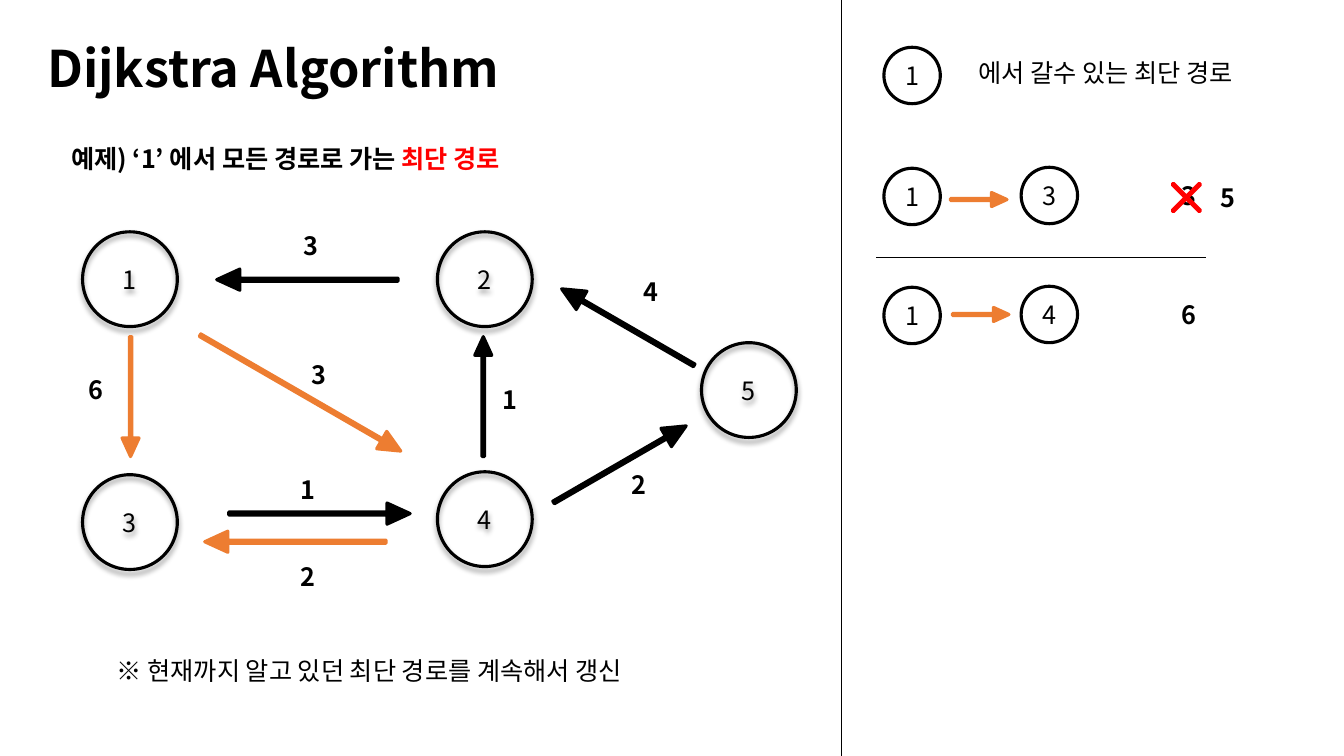
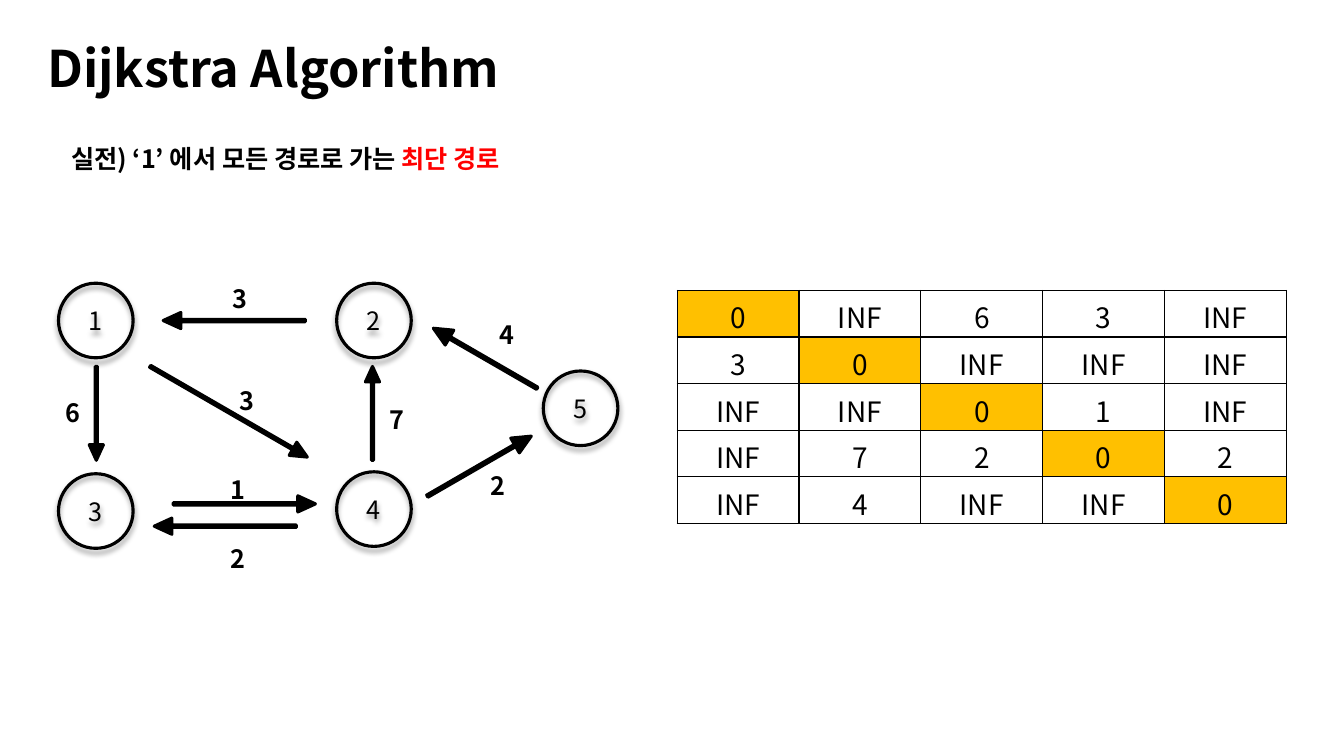
from dataclasses import dataclass
from itertools import product

from lxml.etree import SubElement
from pptx import Presentation
from pptx.dml.color import RGBColor as Rgb
from pptx.enum.shapes import MSO_CONNECTOR as Connector, MSO_SHAPE as Preset
from pptx.enum.text import MSO_ANCHOR as Anchor, MSO_AUTO_SIZE as AutoSize, PP_ALIGN as Align
from pptx.oxml.ns import qn
from pptx.shapes.autoshape import Shape
from pptx.slide import Slide
from pptx.text.text import TextFrame, _Run as Run
from pptx.util import Pt

FONT = "Noto Sans CJK KR"
COLORS = {
    "ink": "000000",
    "route": "ED7D31",
    "alert": "FF0000",
    "diagonal": "FFC000",
    "paper": "FFFFFF",
}
OUTLINE = 2.25
ARROW_SHAPE = (0.148, 1.093)


@dataclass
class Node:
    text: str
    left: float
    top: float


@dataclass
class Arrow:
    left: float
    top: float
    width: float
    height: float
    angle: float = 0
    color: str = "ink"


@dataclass
class Label:
    text: str
    left: float
    top: float
    width: float = 25.2
    height: float = 28.8
    bold: bool = True
    wrap: bool = True


def rgb(name: str) -> Rgb:
    return Rgb.from_string(COLORS[name])


def style_run(run: Run, size: float, bold: bool, color: str) -> None:
    run.font.size = Pt(size)
    run.font.bold = bold
    run.font.color.rgb = rgb(color)
    run.font.name = FONT
    SubElement(run.font._element, qn("a:ea"), typeface=FONT)


def write(frame: TextFrame, text: str, size: float = 18, bold: bool = False,
          align: Align = Align.LEFT) -> None:
    frame.text = text
    para = frame.paragraphs[0]
    para.alignment = align
    style_run(para.runs[0], size, bold, "ink")


def draw_label(page: Slide, label: Label) -> TextFrame:
    box = page.shapes.add_textbox(Pt(label.left), Pt(label.top), Pt(label.width), Pt(label.height))
    frame = box.text_frame
    frame.word_wrap = label.wrap
    frame.auto_size = AutoSize.SHAPE_TO_FIT_TEXT
    write(frame, label.text, bold=label.bold)
    return frame


def draw_preset(page: Slide, preset: Preset, left: float, top: float, width: float,
                height: float, line: str, filled: bool) -> Shape:
    shape = page.shapes.add_shape(preset, Pt(left), Pt(top), Pt(width), Pt(height))
    shape.shadow.inherit = False
    shape.line.color.rgb = rgb(line)
    shape.line.width = Pt(OUTLINE)
    if filled:
        shape.fill.solid()
        shape.fill.fore_color.rgb = rgb(line)
    else:
        shape.fill.background()
    return shape


def draw_node(page: Slide, node: Node, size: float, shadowed: bool) -> None:
    circle = draw_preset(page, Preset.OVAL, node.left, node.top, size, size, "ink", False)
    circle.text_frame.vertical_anchor = Anchor.MIDDLE
    write(circle.text_frame, node.text, align=Align.CENTER)
    if shadowed:
        effects = circle._element.spPr.find(qn("a:effectLst"))
        shadow = SubElement(effects, qn("a:outerShdw"), blurRad=str(Pt(4)), dist=str(Pt(3)),
                            dir="5400000", algn="t", rotWithShape="0")
        tint = SubElement(shadow, qn("a:srgbClr"), val=COLORS["ink"])
        SubElement(tint, qn("a:alpha"), val="40000")


def draw_arrow(page: Slide, arrow: Arrow) -> None:
    shape = draw_preset(page, Preset.RIGHT_ARROW, arrow.left, arrow.top, arrow.width,
                        arrow.height, arrow.color, True)
    for index, value in enumerate(ARROW_SHAPE):
        shape.adjustments[index] = value
    shape.rotation = arrow.angle


def draw_rule(page: Slide, x1: float, y1: float, x2: float, y2: float) -> None:
    rule = page.shapes.add_connector(Connector.STRAIGHT, Pt(x1), Pt(y1), Pt(x2), Pt(y2))
    rule.line.color.rgb = rgb("ink")
    rule.line.width = Pt(0.5)
    SubElement(rule._element.spPr, qn("a:effectLst"))


def draw_graph(page: Slide, nodes: list[Node], size: float, arrows: list[Arrow],
               labels: list[Label], shadowed: bool = True) -> None:
    for node in nodes:
        draw_node(page, node, size, shadowed)
    for arrow in arrows:
        draw_arrow(page, arrow)
    for label in labels:
        draw_label(page, label)


def draw_matrix(page: Slide, rows: list[list[str]], left: float, top: float,
                width: float, height: float) -> None:
    count = len(rows)
    table = page.shapes.add_table(count, count, Pt(left), Pt(top), Pt(width * count),
                                  Pt(height * count)).table
    for index in range(count):
        table.columns[index].width = Pt(width)
        table.rows[index].height = Pt(height)
    for row, column in product(range(count), repeat=2):
        cell = table.cell(row, column)
        cell.margin_left = cell.margin_right = Pt(9.4)
        cell.margin_top, cell.margin_bottom = Pt(4.3), Pt(0)
        write(cell.text_frame, rows[row][column], size=20, align=Align.CENTER)
        properties = cell._tc.get_or_add_tcPr()
        for side in ("lnL", "lnR", "lnT", "lnB"):
            border = SubElement(properties, qn(f"a:{side}"), w=str(Pt(1)))
            paint = SubElement(border, qn("a:solidFill"))
            SubElement(paint, qn("a:srgbClr"), val=COLORS["ink"])
        cell.fill.solid()
        cell.fill.fore_color.rgb = rgb("diagonal" if row == column else "paper")


def add_page(deck: Presentation, lead: str) -> Slide:
    page = deck.slides.add_slide(deck.slide_layouts[6])
    title = page.shapes.add_textbox(Pt(0), Pt(33.1), Pt(390.2), Pt(41)).text_frame
    title.word_wrap = True
    title.vertical_anchor = Anchor.BOTTOM
    write(title, "Dijkstra Algorithm", size=36, bold=True, align=Align.CENTER)
    title.paragraphs[0].line_spacing = 0.9
    heading = draw_label(page, Label(f"{lead}) ‘1’ 에서 모든 경로로 가는 ", 43.9, 98.6, 557.3))
    goal = heading.paragraphs[0].add_run()
    goal.text = "최단 경로"
    style_run(goal, 18, True, "alert")
    return page


def add_example(deck: Presentation) -> None:
    page = add_page(deck, "예제")
    nodes = [
        Node("1", 59, 165.6),
        Node("2", 312.5, 165.6),
        Node("3", 59, 339.1),
        Node("4", 312.5, 337),
        Node("5", 501.1, 244.8),
    ]
    arrows = [
        Arrow(154.8, 192.2, 129.6, 15.1, 180),
        Arrow(131.8, 273.6, 165.6, 14.4, 30, "route"),
        Arrow(50.4, 277.2, 85.7, 12.2, 90, "route"),
        Arrow(302.4, 277.2, 85.7, 12.2, 270),
        Arrow(388.1, 324, 109.4, 15.1, 330),
        Arrow(163.4, 359.3, 129.6, 15.1),
        Arrow(146.2, 379.4, 129.6, 15.1, 180, "route"),
        Arrow(393.8, 226.1, 109.4, 15.1, 210),
    ]
    weights = [
        Label("3", 215.3, 253.4),
        Label("3", 209.5, 161.3),
        Label("1", 207.4, 335.5),
        Label("2", 207.4, 397.4),
        Label("6", 56.2, 264.2),
        Label("2", 444.2, 331.9),
        Label("1", 352.1, 270.7),
        Label("4", 452.9, 193.7),
    ]
    draw_graph(page, nodes, 67.7, arrows, weights)
    draw_label(page, Label("※ 현재까지 알고 있던 최단 경로를 계속해서 갱신", 76.3, 464.4, 427, bold=False))

    draw_rule(page, 601.2, 0, 601.2, 540)
    draw_rule(page, 861.1, 183.6, 625.7, 183.6)
    path_nodes = [
        Node("1", 631.4, 33.8),
        Node("1", 631.4, 120.2),
        Node("3", 729.4, 119.5),
        Node("1", 631.4, 205.2),
        Node("4", 729.4, 204.5),
    ]
    path_arrows = [
        Arrow(679, 137.5, 40.3, 10.1, color="route"),
        Arrow(680.4, 219.6, 40.3, 10.1, color="route"),
    ]
    distances = [
        Label("에서 갈수 있는 최단 경로", 691.9, 37.4, 226.8, bold=False),
        Label("3", 836.6, 125.3),
        Label("6", 836.6, 210.2),
        Label("5", 864.7, 126.7),
    ]
    draw_graph(page, path_nodes, 40.3, path_arrows, distances, shadowed=False)
    cross = draw_preset(page, Preset.MATH_MULTIPLY, 828.7, 122.4, 37.4, 37.4, "alert", True)
    cross.adjustments[0] = 0.033


def add_practice(deck: Presentation) -> None:
    page = add_page(deck, "실전")
    nodes = [
        Node("1", 41.8, 202.3),
        Node("2", 240.5, 202.3),
        Node("3", 41.8, 338.4),
        Node("4", 240.5, 337),
        Node("5", 388.1, 265),
    ]
    arrows = [
        Arrow(116.6, 223.2, 101.5, 11.5, 180),
        Arrow(98.6, 288.7, 129.6, 10.8, 30),
        Arrow(35.3, 290.2, 67, 10.1, 90),
        Arrow(232.6, 290.2, 67, 10.1, 270),
        Arrow(299.5, 326.9, 85.7, 12.2, 330),
        Arrow(123.8, 354.2, 101.5, 11.5),
        Arrow(110.2, 370.1, 101.5, 11.5, 180),
        Arrow(303.8, 249.8, 85.7, 12.2, 210),
    ]
    places = [
        ("3", 164.2, 271.4),
        ("3", 159.1, 198.7),
        ("1", 157.7, 335.5),
        ("2", 157.7, 384.5),
        ("6", 39.6, 280.1),
        ("2", 343.4, 332.6),
        ("7", 271.4, 285.1),
        ("4", 349.9, 224.6),
    ]
    weights = [Label(text, left, top, 19.4, 23, wrap=False) for text, left, top in places]
    draw_graph(page, nodes, 53.3, arrows, weights)
    matrix = [
        "0 INF 6 3 INF",
        "3 0 INF INF INF",
        "INF INF 0 1 INF",
        "INF 7 2 0 2",
        "INF 4 INF INF 0",
    ]
    draw_matrix(page, [line.split() for line in matrix], 483.8, 207.4, 87, 33.3)


deck = Presentation()
deck.slide_width, deck.slide_height = Pt(960), Pt(540)
add_example(deck)
add_practice(deck)
deck.save("out.pptx")
